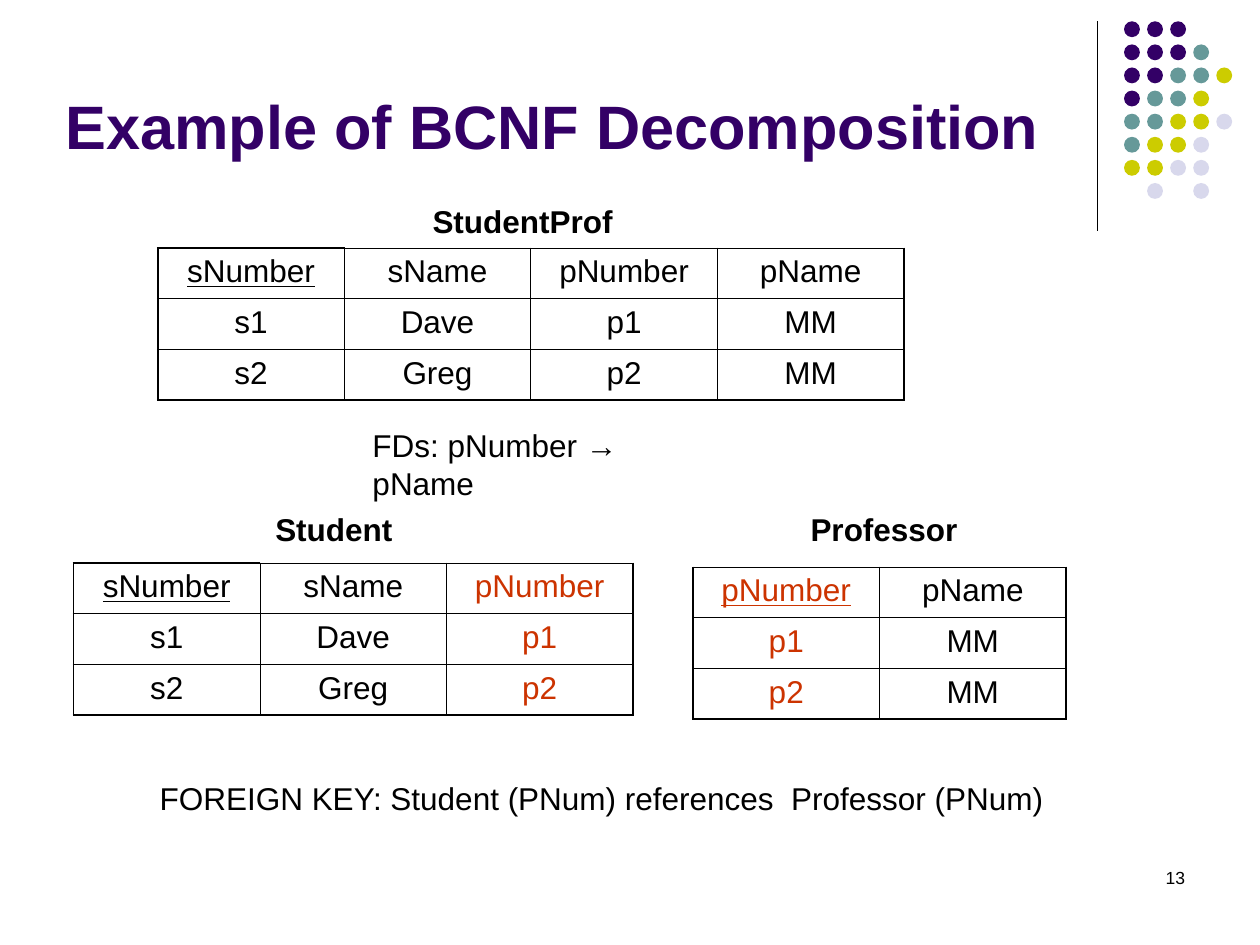
from lxml import etree
from pptx import Presentation
from pptx import util as u
from pptx.dml.color import RGBColor
from pptx.enum import shapes, text
from pptx.oxml.ns import qn

Cm, Pt = u.Cm, u.Pt
FONT = "Arial"
BLACK = RGBColor(0x00, 0x00, 0x00)
RED = RGBColor(0xCC, 0x33, 0x00)
PURPLE = RGBColor(0x33, 0x00, 0x66)
TEAL = RGBColor(0x66, 0x99, 0x99)
LIME = RGBColor(0xCC, 0xCC, 0x00)
LILAC = RGBColor(0xD8, 0xD8, 0xEC)

DOT_COLORS = {"P": PURPLE, "T": TEAL, "L": LIME, "V": LILAC}
DOT_ROWS = ["PPP", "PPPT", "PPTTL", "PTTL", "TTLLV", "TLLV", "LLVV", ".V.V"]

COL_W, ROW_H = 3.76, 1.02
THIN, THICK = Pt(0.45), Pt(1.08)


def style_run(p, size, color=BLACK, bold=False, underline=False):
    f = p.runs[0].font
    f.name, f.size, f.bold, f.underline = FONT, Pt(size), bold, underline
    f.color.rgb = color


def add_text(s, box, content, size=18, color=BLACK, bold=False, wrap=False,
             align=text.PP_ALIGN.LEFT, anchor=text.MSO_ANCHOR.TOP):
    sp = s.shapes.add_textbox(*(Cm(v) for v in box))
    tf = sp.text_frame
    tf.word_wrap = wrap
    tf.vertical_anchor = anchor
    p = tf.paragraphs[0]
    p.text = content
    p.alignment = align
    style_run(p, size, color, bold)
    return p


def add_dots(s, x, y, w, h, d=0.32):
    """Corner ornament: a rule on the left and a grid of dots filling the box."""
    rule = s.shapes.add_connector(shapes.MSO_CONNECTOR.STRAIGHT,
                                  Cm(x - 0.54), Cm(y), Cm(x - 0.54), Cm(y + 4.22))
    rule.line.color.rgb = BLACK
    rule.line.width = Pt(0.75)
    etree.SubElement(rule._element.spPr, qn("a:effectLst"))

    grp = s.shapes.add_group_shape()
    dx = (w - d) / (max(map(len, DOT_ROWS)) - 1)
    dy = (h - d) / (len(DOT_ROWS) - 1)
    for i, row in enumerate(DOT_ROWS):
        for j, key in enumerate(row):
            if key not in DOT_COLORS:
                continue
            dot = grp.shapes.add_shape(shapes.MSO_SHAPE.OVAL, Cm(x + j * dx),
                                       Cm(y + i * dy), Cm(d), Cm(d))
            dot.shadow.inherit = False
            dot.fill.solid()
            dot.fill.fore_color.rgb = DOT_COLORS[key]
            dot.line.fill.background()


def set_borders(cell, widths):
    """Draw black borders; widths are given left, right, top, bottom."""
    tcPr = cell._tc.get_or_add_tcPr()
    for i, (side, width) in enumerate(zip("LRTB", widths)):
        ln = etree.Element(qn(f"a:ln{side}"), w=str(width))
        fill = etree.SubElement(ln, qn("a:solidFill"))
        etree.SubElement(fill, qn("a:srgbClr"), val=str(BLACK))
        tcPr.insert(i, ln)


def add_relation(s, x, y, rows, red_col=None, thick_corner=True):
    """Table of a relation whose first column is the underlined key."""
    n, m = len(rows), len(rows[0])
    tbl = s.shapes.add_table(n, m, Cm(x), Cm(y), Cm(m * COL_W), Cm(n * ROW_H)).table
    tbl.first_row = tbl.horz_banding = False
    for col in tbl.columns:
        col.width = Cm(COL_W)
    for i, row in enumerate(rows):
        tbl.rows[i].height = Cm(ROW_H)
        for j, value in enumerate(row):
            cell = tbl.cell(i, j)
            cell.fill.background()
            p = cell.text_frame.paragraphs[0]
            p.text = value
            p.alignment = text.PP_ALIGN.CENTER
            p.space_before = Pt(4.5)
            style_run(p, 18, RED if j == red_col else BLACK,
                      underline=(i == 0 and j == 0))
            outer = (j == 0, j == m - 1, thick_corner and i == j == 0, i == n - 1)
            set_borders(cell, [THICK if o else THIN for o in outer])


def add_source_relation(s, x, y):
    add_text(s, (x + 5.29, y - 1.06, 4.3, 1.02), "StudentProf", bold=True)
    add_relation(s, x, y, [["sNumber", "sName", "pNumber", "pName"],
                           ["s1", "Dave", "p1", "MM"],
                           ["s2", "Greg", "p2", "MM"]])
    add_text(s, (x + 4.08, y + 3.46, 7.5, 1.02), "FDs: pNumber → pName", wrap=True)


def add_decomposition(s, x, y):
    add_text(s, (x + 3.82, y - 1.19, 3.1, 1.02), "Student", bold=True)
    add_relation(s, x, y, [["sNumber", "sName", "pNumber"],
                           ["s1", "Dave", "p1"],
                           ["s2", "Greg", "p2"]], red_col=2)
    add_text(s, (x + 14.61, y - 1.19, 3.8, 1.02), "Professor", bold=True)
    add_relation(s, x + 12.49, y + 0.08, [["pNumber", "pName"],
                                          ["p1", "MM"],
                                          ["p2", "MM"]],
                 red_col=0, thick_corner=False)


def add_foreign_key(s, x, y):
    p = add_text(s, (x, y, 19.8, 0.94),
                 "FOREIGN KEY: Student (PNum) references  Professor (PNum)")
    p.level = 1
    p.line_spacing = 0.9
    p.space_before = Pt(4.5)
    pPr = p._p.get_or_add_pPr()
    pPr.set("marL", str(Cm(1.27)))
    pPr.set("indent", "0")


def main():
    prs = Presentation()
    prs.slide_width, prs.slide_height = Cm(25.4), Cm(19.05)
    s = prs.slides.add_slide(prs.slide_layouts[6])
    add_dots(s, 22.66, 0.43, 2.18, 3.58)
    add_text(s, (1.07, 0.64, 20.96, 2.74), "Example of BCNF Decomposition", 35,
             PURPLE, bold=True, wrap=True, anchor=text.MSO_ANCHOR.BOTTOM)
    add_source_relation(s, 3.18, 5.0)
    add_decomposition(s, 1.48, 11.35)
    add_foreign_key(s, 1.7, 15.67)
    add_text(s, (18.21, 17.35, 5.93, 1.27), "13", 10, wrap=True,
             align=text.PP_ALIGN.RIGHT)
    prs.save("out.pptx")


if __name__ == "__main__":
    main()
